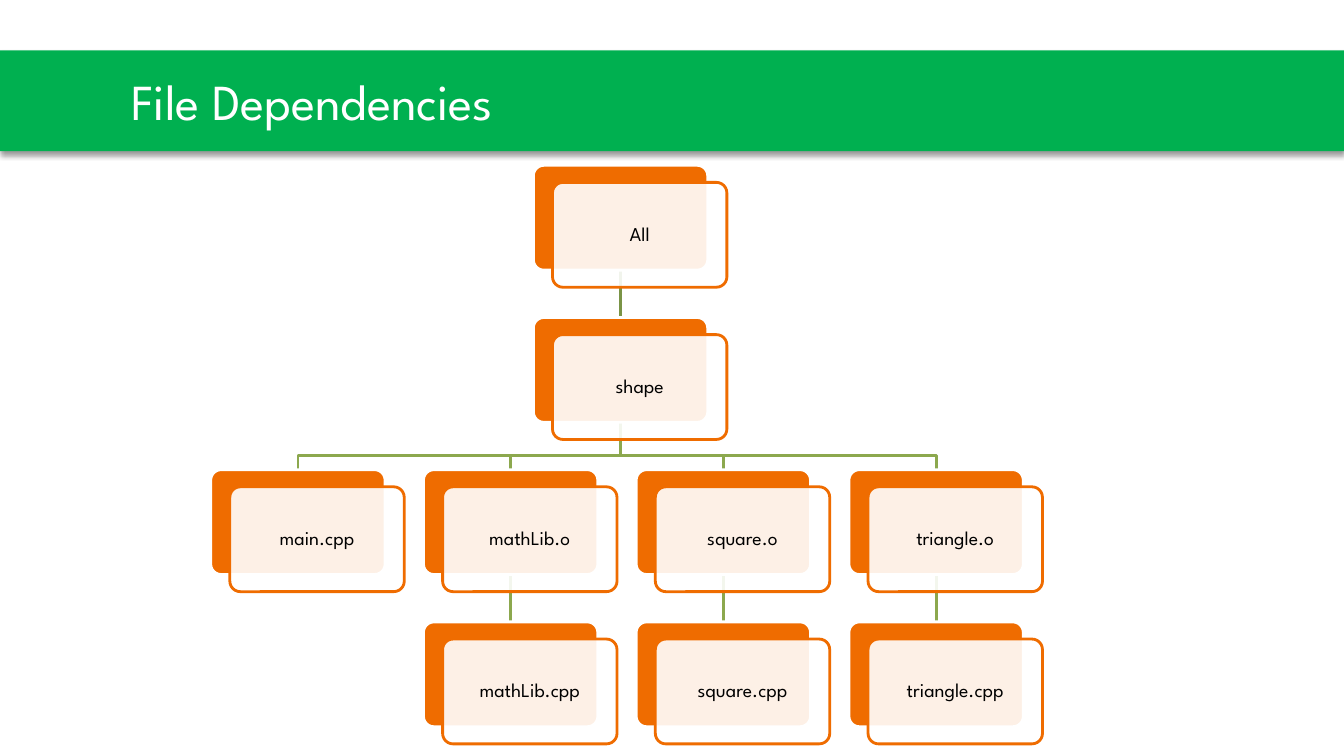
from dataclasses import dataclass

from lxml import etree
from pptx import Presentation
from pptx.dml.color import RGBColor
from pptx.enum.shapes import MSO_CONNECTOR, MSO_SHAPE
from pptx.enum.text import MSO_ANCHOR, PP_ALIGN
from pptx.oxml import parse_xml
from pptx.oxml.ns import nsdecls, qn
from pptx.util import Inches, Pt

RECT, ROUND = MSO_SHAPE.RECTANGLE, MSO_SHAPE.ROUNDED_RECTANGLE
STRAIGHT = MSO_CONNECTOR.STRAIGHT
MIDDLE = MSO_ANCHOR.MIDDLE
LEFT, CENTER = PP_ALIGN.LEFT, PP_ALIGN.CENTER

GREEN = RGBColor(0x00, 0xB0, 0x50)
MOSS = RGBColor(0x7A, 0x94, 0x46)
LEAF = RGBColor(0x8C, 0xA8, 0x4E)
ORANGE = RGBColor(0xEF, 0x6C, 0x00)
WHITE = RGBColor(0xFF, 0xFF, 0xFF)
BLACK = RGBColor(0x00, 0x00, 0x00)

FONT = "League Spartan"
WIDE, HIGH = 1.73, 1.04
ROOT, FIRST, STEP = 5.29, 2.09, 2.11
TOP, DROP = 1.64, 1.51
SHIFT_X, SHIFT_Y = 0.19, 0.17
BEND = 0.33
SHADOW = (
    f'<a:effectLst {nsdecls("a")}><a:outerShdw blurRad="{Pt(4)}" dist="{Pt(3)}" '
    'dir="5400000" algn="t" rotWithShape="0"><a:srgbClr val="000000">'
    '<a:alpha val="40000"/></a:srgbClr></a:outerShdw></a:effectLst>'
)


@dataclass
class Node:
    """A file in the tree, with its place and the file that needs it."""

    name: str
    left: float
    row: int
    parent: "Node | None" = None
    color: RGBColor = LEAF

    @property
    def top(self) -> float:
        return TOP + DROP * self.row

    @property
    def mid(self) -> float:
        return self.left + WIDE / 2


def make_tree() -> list[Node]:
    """List every file from the root down."""
    root = Node("All", ROOT, 0)
    shape = Node("shape", ROOT, 1, root, MOSS)
    nodes = [root, shape]
    for col, stem in enumerate(["main", "mathLib", "square", "triangle"]):
        left = FIRST + STEP * col
        if stem == "main":
            nodes.append(Node("main.cpp", left, 2, shape))
        else:
            mid = Node(f"{stem}.o", left, 2, shape)
            nodes += [mid, Node(f"{stem}.cpp", left, 3, mid)]
    return nodes


def add_box(slide, kind, left: float, top: float, width: float, height: float, fill: RGBColor):
    """Add a filled shape without line or shadow."""
    box = slide.shapes.add_shape(kind, Inches(left), Inches(top), Inches(width), Inches(height))
    box.shadow.inherit = False
    box.fill.solid()
    box.fill.fore_color.rgb = fill
    box.line.fill.background()
    return box


def set_line(shape, color: RGBColor) -> None:
    """Give a shape a two-point line."""
    shape.line.color.rgb = color
    shape.line.width = Pt(2)


def set_text(box, text: str, size: int, color: RGBColor, align, pads: tuple) -> None:
    """Write one line of text into a box."""
    frame = box.text_frame
    frame.word_wrap = True
    frame.vertical_anchor = MIDDLE
    frame.margin_left, frame.margin_top, frame.margin_right, frame.margin_bottom = map(Inches, pads)
    para = frame.paragraphs[0]
    para.text = text
    para.alignment = align
    para.font.name = FONT
    para.font.size = Pt(size)
    para.font.color.rgb = color


def add_title(slide, text: str) -> None:
    """Add the green title band with its soft shadow."""
    band = add_box(slide, RECT, 0, 0.5, 13.33, 1, GREEN)
    props = band._element.spPr
    props.replace(props.find(qn("a:effectLst")), parse_xml(SHADOW))
    set_text(band, text, 36, WHITE, LEFT, (1.3, 0.05, 0.3, 0.05))


def add_link(slide, node: Node) -> None:
    """Join a node to its parent, with a bend where they are not aligned."""
    start = node.parent.top + HIGH
    ends = [Inches(v) for v in (node.parent.mid, start, node.mid, node.top)]
    if node.left == node.parent.left:
        link = slide.shapes.add_connector(STRAIGHT, *ends)
        etree.SubElement(link._element.spPr, qn("a:effectLst"))
    else:
        from_x, from_y, to_x, to_y = ends
        bend = Inches(start + BEND)
        route = slide.shapes.build_freeform(from_x, from_y)
        route.add_line_segments([(from_x, bend), (to_x, bend), (to_x, to_y)], close=False)
        link = route.convert_to_shape()
        link.fill.background()
        link.shadow.inherit = False
    set_line(link, node.color)


def add_node(slide, node: Node) -> None:
    """Add the orange back card and the pale front card with the name."""
    back = add_box(slide, ROUND, node.left, node.top, WIDE, HIGH, ORANGE)
    front = add_box(slide, ROUND, node.left + SHIFT_X, node.top + SHIFT_Y, WIDE, HIGH, WHITE)
    for card, color in ((back, WHITE), (front, ORANGE)):
        card.adjustments[0] = 0.1
        set_line(card, color)
    tint = front._element.spPr.find(qn("a:solidFill"))[0]
    etree.SubElement(tint, qn("a:alpha"), val="90000")
    set_text(front, node.name, 14, BLACK, CENTER, (0.06,) * 4)
    front.text_frame.paragraphs[0].line_spacing = 0.9


def main() -> None:
    """Build the slide and save it."""
    deck = Presentation()
    deck.slide_width, deck.slide_height = Inches(13.33), Inches(7.5)
    slide = deck.slides.add_slide(deck.slide_layouts[6])
    add_title(slide, "File Dependencies")
    nodes = make_tree()
    for node in nodes:
        if node.parent:
            add_link(slide, node)
    for node in nodes:
        add_node(slide, node)
    deck.save("out.pptx")


main()
